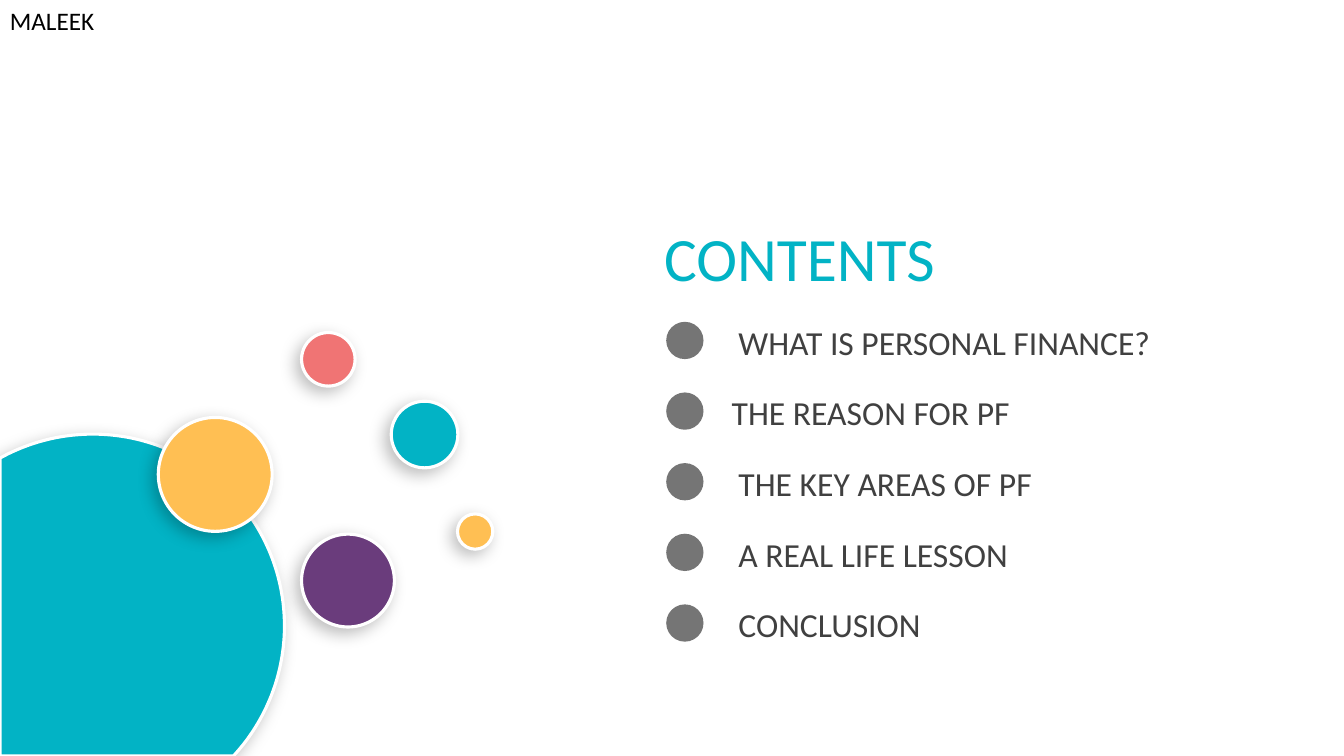
from dataclasses import dataclass
from math import acos, asin, cos, pi, sin

from lxml import etree
from pptx import Presentation
from pptx.dml.color import RGBColor
from pptx.enum.shapes import MSO_SHAPE
from pptx.enum.text import MSO_ANCHOR, MSO_AUTO_SIZE, PP_ALIGN
from pptx.oxml.ns import qn
from pptx.util import Cm, Pt

OVAL = MSO_SHAPE.OVAL
TOP = MSO_ANCHOR.TOP
LEFT = PP_ALIGN.LEFT
GROW = MSO_AUTO_SIZE.SHAPE_TO_FIT_TEXT
TITLE_ONLY = 5
SLIDE_WIDTH, SLIDE_HEIGHT = 33.87, 19.05


@dataclass(frozen=True)
class Theme:
    teal: str = "02B3C5"
    purple: str = "6A3C7C"
    amber: str = "FFBF53"
    coral: str = "F07474"
    grey: str = "404040"
    black: str = "000000"
    white: str = "FFFFFF"
    font: str = "Calibri"
    title_size: int = 44
    topic_size: int = 24
    author_size: int = 18
    outline: float = 2.25
    marker_opacity: int = 72
    shadow_opacity: int = 26


THEME = Theme()

# Left, top, diameter (cm) and colour
BUBBLES = [
    (7.6, 13.46, 2.34, THEME.purple),
    (9.86, 10.11, 1.68, THEME.teal),
    (3.99, 10.52, 2.87, THEME.amber),
    (7.6, 8.38, 1.35, THEME.coral),
    (11.53, 12.95, 0.89, THEME.amber),
]

# Topic and left edge of its text (cm)
TOPICS = [
    ("WHAT IS PERSONAL FINANCE?", 18.36),
    ("THE REASON FOR PF", 18.19),
    ("THE KEY AREAS OF PF", 18.36),
    ("A REAL LIFE LESSON", 18.36),
    ("CONCLUSION", 18.36),
]
TOPIC_TOP, TOPIC_PITCH = 7.98, 1.78
MARKER_LEFT, MARKER_SIZE, MARKER_DROP = 16.79, 0.94, 0.13


def write(box, text, *, size, color):
    """Fill a text box or placeholder with one formatted line."""
    frame = box.text_frame
    frame.word_wrap = True
    frame.auto_size = GROW
    frame.vertical_anchor = TOP
    paragraph = frame.paragraphs[0]
    paragraph.text = text
    paragraph.alignment = LEFT
    font = paragraph.runs[0].font
    font.name, font.size = THEME.font, Pt(size)
    font.color.rgb = RGBColor.from_string(color)


def add_text(slide, text, left, top, width, height, **style):
    box = slide.shapes.add_textbox(Cm(left), Cm(top), Cm(width), Cm(height))
    write(box, text, **style)


def set_opacity(color_element, percent):
    etree.SubElement(color_element, qn("a:alpha"), val=str(percent * 1000))


def paint(shape, color):
    shape.shadow.inherit = False
    shape.fill.solid()
    shape.fill.fore_color.rgb = RGBColor.from_string(color)


def style_bubble(shape, color):
    """Coloured fill, white outline and a soft shadow to the lower left."""
    paint(shape, color)
    shape.line.color.rgb = RGBColor.from_string(THEME.white)
    shape.line.width = Pt(THEME.outline)
    effects = shape._element.spPr.find(qn("a:effectLst"))
    shadow = etree.SubElement(
        effects, qn("a:outerShdw"), blurRad=str(Pt(12)), dist=str(Pt(5)),
        dir=str(135 * 60000), algn="tr", rotWithShape="0")
    tint = etree.SubElement(shadow, qn("a:srgbClr"), val=THEME.black)
    set_opacity(tint, THEME.shadow_opacity)


def add_circle(slide, left, top, diameter):
    return slide.shapes.add_shape(
        OVAL, Cm(left), Cm(top), Cm(diameter), Cm(diameter))


def add_corner_disc(slide, center_x, center_y, radius, steps=120):
    """Large disc cut off by the left and bottom slide edges."""
    start = asin((SLIDE_HEIGHT - center_y) / radius)
    end = acos(center_x / radius) - pi
    angles = [start + (end - start) * i / steps for i in range(steps + 1)]
    rim = [(Cm(center_x + radius * cos(a)), Cm(center_y + radius * sin(a)))
           for a in angles]
    builder = slide.shapes.build_freeform(Cm(0), Cm(SLIDE_HEIGHT))
    builder.add_line_segments(rim, close=True)
    style_bubble(builder.convert_to_shape(), THEME.teal)


def add_marker(slide, top):
    marker = add_circle(slide, MARKER_LEFT, top, MARKER_SIZE)
    paint(marker, THEME.grey)
    marker.line.fill.background()
    fill_color = marker._element.spPr.find(qn("a:solidFill"))[0]
    set_opacity(fill_color, THEME.marker_opacity)


def main():
    deck = Presentation()
    deck.slide_width, deck.slide_height = Cm(SLIDE_WIDTH), Cm(SLIDE_HEIGHT)
    slide = deck.slides.add_slide(deck.slide_layouts[TITLE_ONLY])

    # Title
    title = slide.shapes.title
    title.left, title.top = Cm(16.48), Cm(5.41)
    title.width, title.height = Cm(9.58), Cm(2.13)
    write(title, "CONTENTS", size=THEME.title_size, color=THEME.teal)

    # Decorative bubbles
    add_corner_disc(slide, 2.34, 15.77, 4.83)
    for left, top, diameter, color in BUBBLES:
        style_bubble(add_circle(slide, left, top, diameter), color)

    # Topic list
    for row, (topic, left) in enumerate(TOPICS):
        top = TOPIC_TOP + row * TOPIC_PITCH
        add_marker(slide, top + MARKER_DROP)
        add_text(slide, topic, left, top, 11.81, 1.28,
                 size=THEME.topic_size, color=THEME.grey)

    # Author
    add_text(slide, "MALEEK", 0, 0, 11.28, 1.02,
             size=THEME.author_size, color=THEME.black)

    deck.save("out.pptx")


if __name__ == "__main__":
    main()
